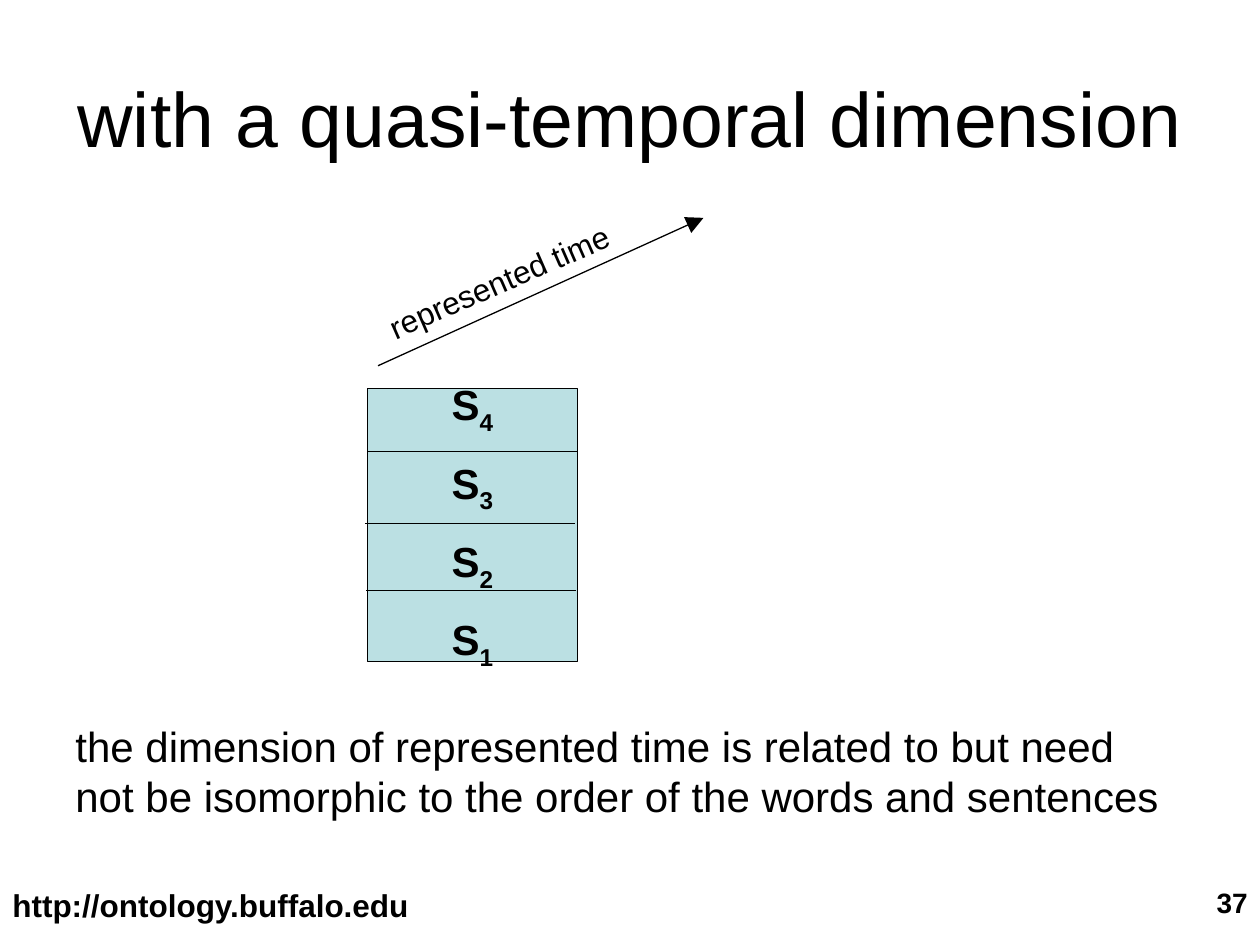
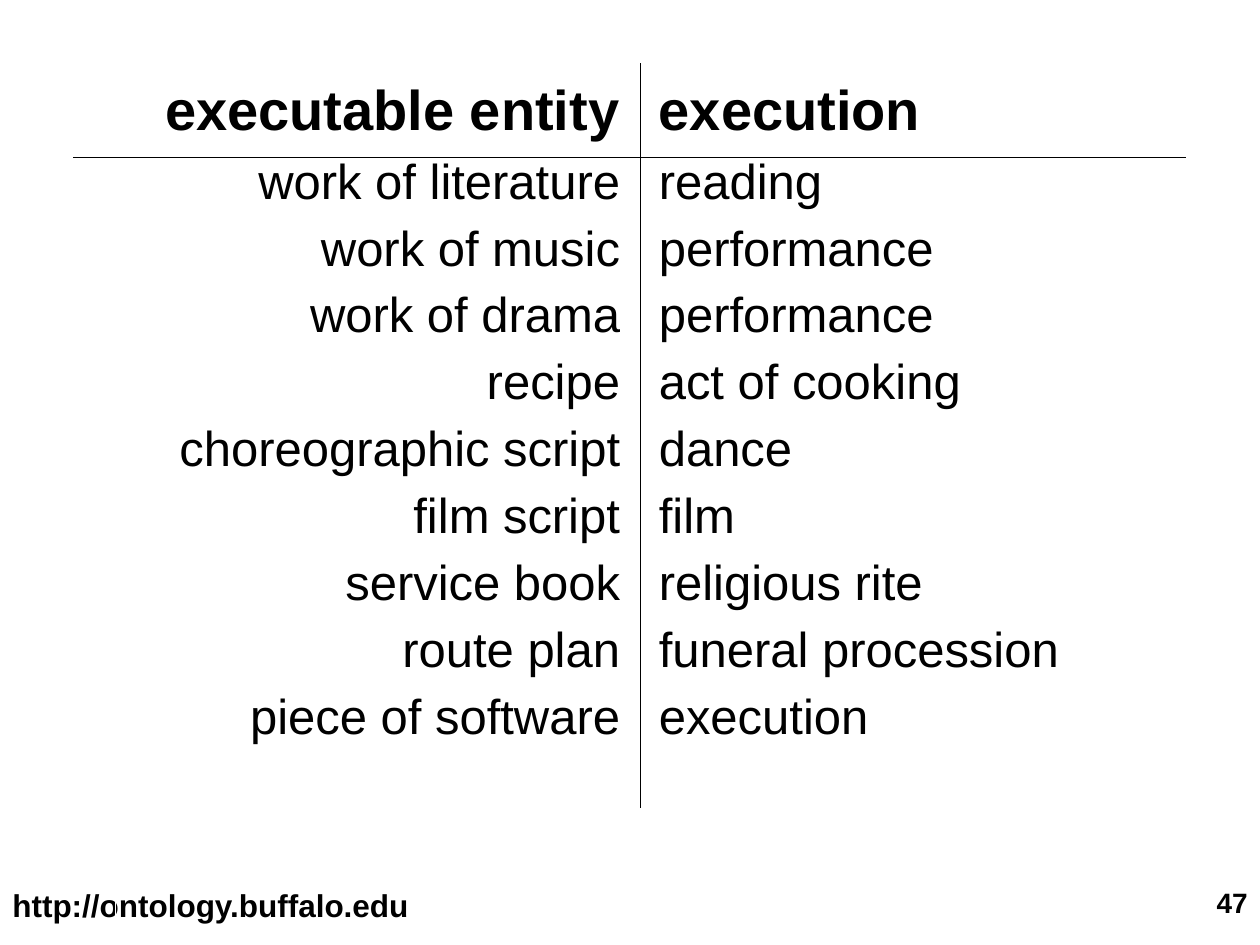
from dataclasses import dataclass

from lxml.etree import SubElement
from pptx import Presentation
from pptx.dml.color import RGBColor
from pptx.enum.shapes import MSO_CONNECTOR, MSO_SHAPE
from pptx.enum.text import MSO_ANCHOR, MSO_AUTO_SIZE, PP_ALIGN
from pptx.oxml.ns import qn
from pptx.util import Pt


# Theme shared by both slides
@dataclass(frozen=True)
class Theme:
    font: str = "Arial"
    ink: RGBColor = RGBColor(0x00, 0x00, 0x00)
    stack_fill: RGBColor = RGBColor(0xBB, 0xE0, 0xE3)
    line_width: float = 0.75
    title: float = 44
    heading: float = 32
    entry: float = 28
    body: float = 24
    label: float = 18
    page_number: float = 16


THEME = Theme()


@dataclass(frozen=True)
class Label:
    text: str
    left: float
    top: float
    width: float
    height: float
    size: float
    bold: bool = False
    align: PP_ALIGN = PP_ALIGN.LEFT
    anchor: MSO_ANCHOR = MSO_ANCHOR.TOP
    rotation: float = 0
    grow: bool = False


@dataclass(frozen=True)
class Rule:
    start_x: float
    start_y: float
    end_x: float
    end_y: float
    arrow: bool = False


@dataclass(frozen=True)
class Column:
    heading: str
    entries: tuple[str, ...]
    width: float
    align: PP_ALIGN
    left_margin: float


# Drawing functions
def add_run(paragraph, text: str, size: float, bold: bool = False):
    run = paragraph.add_run()
    run.text = text
    run.font.name = THEME.font
    run.font.size = Pt(size)
    run.font.bold = bold
    run.font.color.rgb = THEME.ink
    return run


def next_paragraph(frame, index: int, align: PP_ALIGN, gap: float):
    paragraph = frame.add_paragraph() if index else frame.paragraphs[0]
    paragraph.alignment = align
    if index:
        paragraph.space_before = Pt(gap)
    return paragraph


def add_label(slide, label: Label) -> None:
    box = slide.shapes.add_textbox(
        Pt(label.left), Pt(label.top), Pt(label.width), Pt(label.height))
    box.rotation = label.rotation
    frame = box.text_frame
    frame.word_wrap = True
    frame.vertical_anchor = label.anchor
    if label.grow:
        frame.auto_size = MSO_AUTO_SIZE.SHAPE_TO_FIT_TEXT
    paragraph = next_paragraph(frame, 0, label.align, 0)
    add_run(paragraph, label.text, label.size, label.bold)


def add_rule(slide, rule: Rule) -> None:
    connector = slide.shapes.add_connector(
        MSO_CONNECTOR.STRAIGHT, Pt(rule.start_x), Pt(rule.start_y),
        Pt(rule.end_x), Pt(rule.end_y))
    connector.line.color.rgb = THEME.ink
    connector.line.width = Pt(THEME.line_width)
    if rule.arrow:
        SubElement(connector.line._get_or_add_ln(), qn("a:tailEnd"),
                   type="triangle", w="lg", len="lg")
    SubElement(connector._element.spPr, qn("a:effectLst"))


def add_sentence_stack(slide, left: float, top: float, width: float, height: float,
                       numbers: str) -> None:
    stack = slide.shapes.add_shape(
        MSO_SHAPE.RECTANGLE, Pt(left), Pt(top), Pt(width), Pt(height))
    stack.shadow.inherit = False
    stack.fill.solid()
    stack.fill.fore_color.rgb = THEME.stack_fill
    stack.line.color.rgb = THEME.ink
    stack.line.width = Pt(THEME.line_width)
    frame = stack.text_frame
    frame.word_wrap = False
    frame.vertical_anchor = MSO_ANCHOR.MIDDLE
    for index, number in enumerate(numbers):
        paragraph = next_paragraph(frame, index, PP_ALIGN.CENTER, 12)
        add_run(paragraph, "S", THEME.body, bold=True)
        subscript = add_run(paragraph, number, THEME.body, bold=True)
        subscript.font._element.set("baseline", "-25000")


def add_column_table(slide, left: float, top: float, row_heights: tuple[float, ...],
                     columns: tuple[Column, ...]) -> None:
    width = sum(column.width for column in columns)
    table = slide.shapes.add_table(
        len(row_heights), len(columns), Pt(left), Pt(top),
        Pt(width), Pt(sum(row_heights))).table
    table.first_row = False
    table.horz_banding = False
    for row, height in zip(table.rows, row_heights):
        row.height = Pt(height)
    for cell in table.iter_cells():
        cell.fill.background()
    for index, column in enumerate(columns):
        table.columns[index].width = Pt(column.width)
        cell = table.cell(0, index)
        cell.margin_left = Pt(column.left_margin)
        heading = next_paragraph(cell.text_frame, 0, column.align, 0)
        add_run(heading, column.heading, THEME.heading, bold=True)
        for position, entry in enumerate(column.entries, start=1):
            paragraph = next_paragraph(cell.text_frame, position, column.align, 7)
            add_run(paragraph, entry, THEME.entry)


def new_slide(presentation, number: int):
    slide = presentation.slides.add_slide(presentation.slide_layouts[6])
    add_label(slide, Label("http://ontology.buffalo.edu", 0, 502.5, 264, 37.5,
                           THEME.label, bold=True))
    add_label(slide, Label(str(number), 552, 502.5, 168, 37.5,
                           THEME.page_number, bold=True, align=PP_ALIGN.RIGHT))
    return slide


# Slide 37: stacked sentences and the time arrow
def build_dimension_slide(presentation) -> None:
    slide = new_slide(presentation, 37)
    add_label(slide, Label("with a quasi-temporal dimension", 36, 21.6, 648, 90,
                           THEME.title, align=PP_ALIGN.CENTER,
                           anchor=MSO_ANCHOR.MIDDLE))
    stack_width = 120
    add_sentence_stack(slide, 210, 222, stack_width, 156, "4321")
    for left, y in ((210, 258), (208.75, 299.25), (209.25, 337.5)):
        add_rule(slide, Rule(left, y, left + stack_width, y))
    add_rule(slide, Rule(216, 209, 402, 124.5, arrow=True))
    add_label(slide, Label("represented time", 209, 139, 186, 29,
                           THEME.label, rotation=336.4, grow=True))
    add_label(slide, Label(
        "the dimension of represented time is related to but need not be "
        "isomorphic to the order of the words and sentences",
        36, 408, 636, 65, THEME.body, grow=True))


# Slide 47: entities and their executions
def build_execution_slide(presentation) -> None:
    slide = new_slide(presentation, 47)
    pairs = (
        ("work of literature", "reading"),
        ("work of music", "performance"),
        ("work of drama", "performance"),
        ("recipe", "act of cooking"),
        ("choreographic script", "dance"),
        ("film script", "film"),
        ("service book", "religious rite"),
        ("route plan", "funeral procession"),
        ("piece of software", "execution"),
    )
    entities, executions = zip(*pairs)
    add_column_table(slide, 66, 42, (452, 46), (
        Column("executable entity", entities, 295.5, PP_ALIGN.RIGHT, 7.2),
        Column("execution", executions, 268.5, PP_ALIGN.LEFT, 15),
    ))
    add_rule(slide, Rule(42, 90, 678, 90))
    add_rule(slide, Rule(366, 36, 366, 462))


def main() -> None:
    presentation = Presentation()
    presentation.slide_width = Pt(720)
    presentation.slide_height = Pt(540)
    build_dimension_slide(presentation)
    build_execution_slide(presentation)
    presentation.save("out.pptx")


if __name__ == "__main__":
    main()
